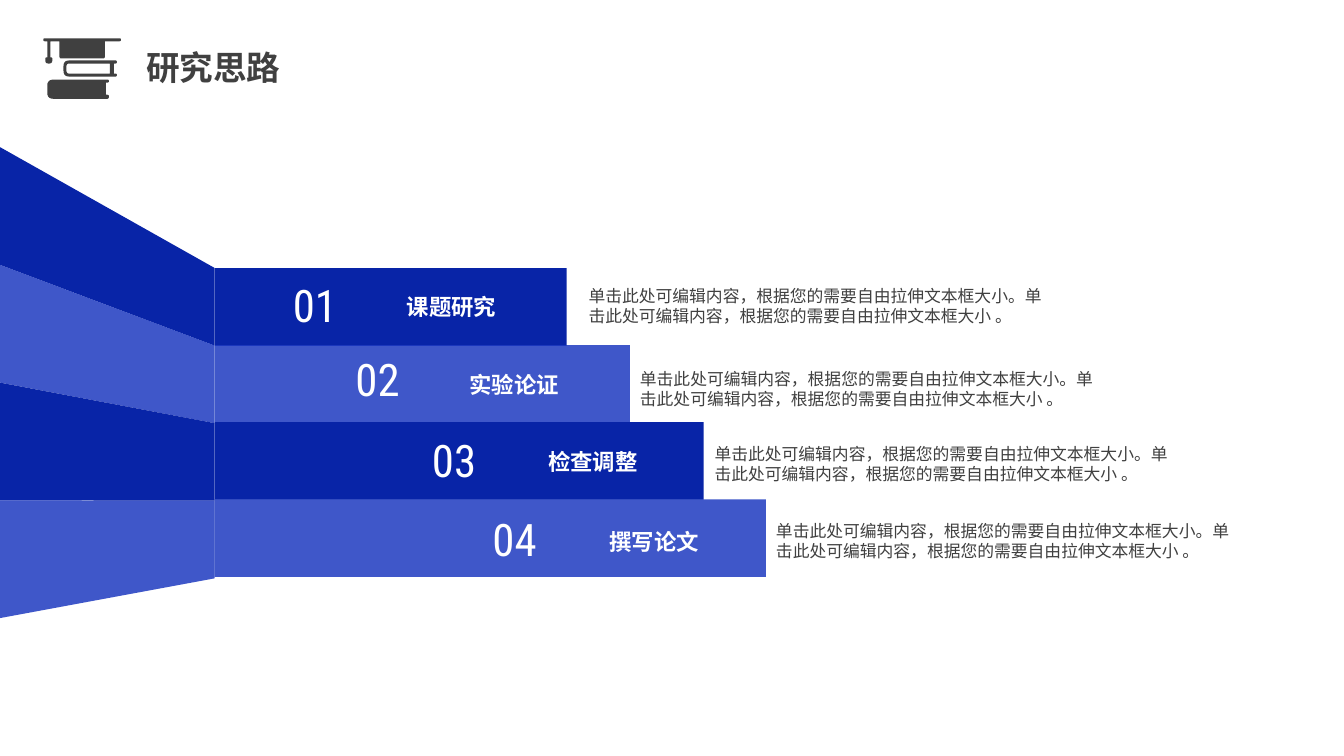
from lxml import etree
from pptx import Presentation
from pptx import util as u
from pptx.dml.color import RGBColor
from pptx.enum import shapes, text
from pptx.oxml.ns import qn

Pt = u.Pt
NAVY = RGBColor(0x08, 0x24, 0xA7)
BLUE = RGBColor(0x09, 0x28, 0xBB)
GREY = RGBColor(0x40, 0x40, 0x40)
WHITE = RGBColor(0xFF, 0xFF, 0xFF)
CJK = "Noto Sans CJK SC"
DIGITS = "Roboto Condensed"

# Content: heading, bar width, then (left, top) of number, heading, description
HEADING = "研究思路"
DESCRIPTION = ("单击此处可编辑内容，根据您的需要自由拉伸文本框大小。"
               "单击此处可编辑内容，根据您的需要自由拉伸文本框大小 。")
STEPS = [
    ("课题研究", 251.3, (195.1, 195.1), (254.9, 205.9), (413.3, 200.2)),
    ("实验论证", 296.6, (239.8, 247.7), (299.5, 261.4), (450, 259.9)),
    ("检查调整", 349.2, (294.5, 305.3), (355.7, 316.8), (503.3, 313.2)),
    ("撰写论文", 393.8, (337.7, 362.2), (399.6, 373.7), (547.2, 368.6)),
]

# Icon outlines: (x, y, corner radius)
CAP = [(31, 27.4, 1), (86.4, 27.4, 1), (86.4, 29.5, 1), (74.9, 29.5, 0),
       (74.9, 41.8, 1.4), (42.5, 41.8, 1.4), (42.5, 29.5, 0), (36, 29.5, 0),
       (36, 41, 0), (37.4, 41, 1), (37.4, 45.4, 2.2), (32.4, 45.4, 2.2),
       (32.4, 41, 1), (33.8, 41, 0), (33.8, 29.5, 0), (31, 29.5, 1)]
MIDDLE_BOOK = [(45.4, 43.2, 4), (83.5, 43.2, 1.1), (83.5, 45.4, 1.1),
               (81.4, 45.4, 0), (81.4, 52.6, 0), (83.5, 52.6, 1),
               (83.5, 54.7, 1), (45.4, 54.7, 4)]
PAGES = [(47.5, 52.6, 2), (78.5, 52.6, 0), (78.5, 45.4, 0), (47.5, 45.4, 2)]
BOTTOM_BOOK = [(33.8, 56.9, 4.3), (77.8, 56.9, 1), (77.8, 59, 1),
               (75.6, 59, 0), (75.6, 67.7, 0), (77.8, 67.7, 1.2),
               (77.8, 70.6, 1.4), (33.8, 70.6, 4.3)]

# Geometry of the bars and of the side that recedes to the left edge
FOLD_X = 153.4
BAR_TOP, BAR_PITCH, BAR_HEIGHT = 191.5, 55.05, 55.4
EDGE_TOP, EDGE_PITCH = 105.1, 84.1


def paint(shape, colour, opacity=100):
    shape.shadow.inherit = False
    shape.fill.solid()
    shape.fill.fore_color.rgb = colour
    shape.line.fill.background()
    if opacity < 100:
        colour_node = shape.fill._xPr.find(qn("a:solidFill"))[0]
        etree.SubElement(colour_node, qn("a:alpha"), val=str(opacity * 1000))


def add_outline(slide, contours, colour, opacity=100):
    builder = None
    for contour in contours:
        start, *rest = [(Pt(x), Pt(y)) for x, y in contour]
        if builder is None:
            builder = slide.shapes.build_freeform(*start, scale=1.0)
        else:
            builder.move_to(*start)
        builder.add_line_segments(rest, close=True)
    paint(builder.convert_to_shape(), colour, opacity)


def rounded(corners):
    """Replace each corner that has a radius by a sampled curve."""
    points = []
    for i, (x, y, radius) in enumerate(corners):
        if not radius:
            points.append((x, y))
            continue
        ends = []
        for nx, ny, _ in (corners[i - 1], corners[(i + 1) % len(corners)]):
            part = radius / max(abs(nx - x), abs(ny - y))
            ends.append((x + (nx - x) * part, y + (ny - y) * part))
        (ax, ay), (bx, by) = ends
        for t in (0, 0.2, 0.4, 0.6, 0.8, 1):
            a, c, b = (1 - t) ** 2, 2 * t * (1 - t), t ** 2
            points.append((a * ax + c * x + b * bx, a * ay + c * y + b * by))
    return points


def write(box, words, size, font, colour, bold=False, align=text.PP_ALIGN.LEFT):
    frame = box.text_frame
    frame.word_wrap = True
    frame.auto_size = text.MSO_AUTO_SIZE.NONE
    frame.vertical_anchor = text.MSO_ANCHOR.TOP
    paragraph = frame.paragraphs[0]
    paragraph.alignment = align
    paragraph.space_before = Pt(0)
    paragraph.line_spacing = Pt(size * 1.2)
    run = paragraph.add_run()
    run.text = words
    run.font.size = Pt(size)
    run.font.bold = bold
    run.font.color.rgb = colour
    run.font.name = font
    etree.SubElement(run.font._element, qn("a:ea"), typeface=font)


def add_text(slide, place, width, height, *style, **options):
    left, top = place
    box = slide.shapes.add_textbox(Pt(left), Pt(top), Pt(width), Pt(height))
    write(box, *style, **options)


def main():
    deck = Presentation()
    deck.slide_width, deck.slide_height = Pt(960), Pt(540)
    slide = deck.slides.add_slide(deck.slide_layouts[5])

    # Heading and icon
    title = slide.shapes.title
    title.left, title.top, title.width, title.height = map(Pt, (97.2, 30.2, 178.6, 36))
    write(title, HEADING, 24, CJK, GREY, bold=True)
    icon = [rounded(part) for part in (CAP, MIDDLE_BOOK, PAGES, BOTTOM_BOOK)]
    add_outline(slide, icon, GREY)

    # Steps: receding side, bar, number, heading, description
    centre = text.PP_ALIGN.CENTER
    for i, (name, width, number_at, name_at, description_at) in enumerate(STEPS):
        fill = (BLUE, 78) if i % 2 else (NAVY, 100)
        edge = EDGE_TOP + i * EDGE_PITCH
        top = BAR_TOP + i * BAR_PITCH
        fold = BAR_TOP + i * BAR_HEIGHT
        side = [(0, edge), (0, edge + EDGE_PITCH),
                (FOLD_X, fold + BAR_HEIGHT), (FOLD_X, fold)]
        add_outline(slide, [side], *fill)
        bar = slide.shapes.add_shape(shapes.MSO_SHAPE.RECTANGLE, Pt(FOLD_X),
                                     Pt(top), Pt(width), Pt(BAR_HEIGHT))
        paint(bar, *fill)
        add_text(slide, number_at, 59.8, 46.1, f"{i + 1:02}", 32, DIGITS, WHITE, align=centre)
        add_text(slide, name_at, 135.4, 26.6, name, 16, CJK, WHITE, bold=True, align=centre)
        add_text(slide, description_at, 350, 36, DESCRIPTION, 12, CJK, GREY)

    deck.save("out.pptx")


if __name__ == "__main__":
    main()
